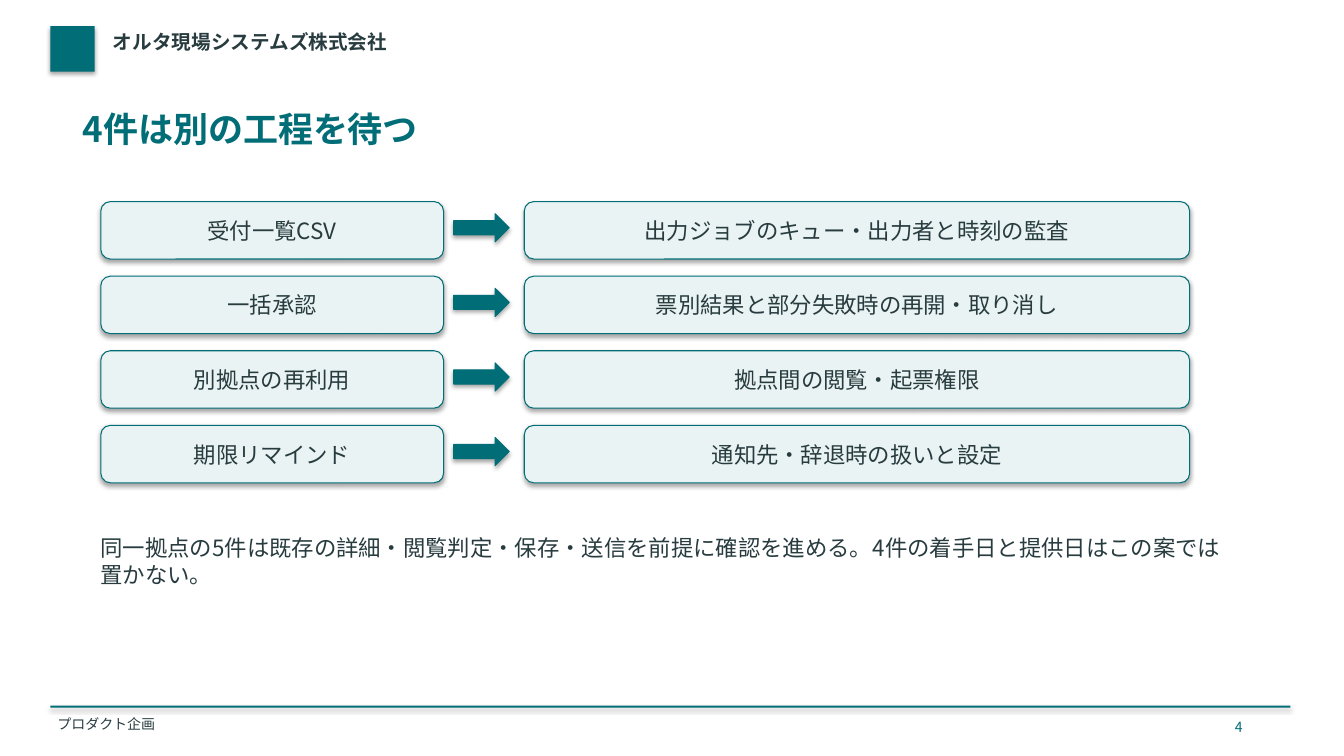
from pptx import Presentation
from pptx.dml.color import RGBColor
from pptx.enum.shapes import MSO_SHAPE
from pptx.enum.text import MSO_ANCHOR, PP_ALIGN
from pptx.oxml.ns import qn
from pptx.util import Inches, Pt

RECTANGLE = MSO_SHAPE.RECTANGLE
ROUNDED = MSO_SHAPE.ROUNDED_RECTANGLE
ARROW = MSO_SHAPE.RIGHT_ARROW
MIDDLE = MSO_ANCHOR.MIDDLE
CENTER = PP_ALIGN.CENTER

FONT = "Noto Sans CJK JP"
COLORS = {"teal": "006D77", "pale": "EAF3F3", "ink": "283C40"}

WAITING_ITEMS = [
    ("受付一覧CSV", "出力ジョブのキュー・出力者と時刻の監査"),
    ("一括承認", "票別結果と部分失敗時の再開・取り消し"),
    ("別拠点の再利用", "拠点間の閲覧・起票権限"),
    ("期限リマインド", "通知先・辞退時の扱いと設定"),
]
FIRST_ROW_TOP = 2
ROW_STEP = 0.74
BOX_HEIGHT = 0.57


def color(name):
    return RGBColor.from_string(COLORS[name])


def write(paragraph, text, size, color_name="ink", bold=False):
    run = paragraph.add_run()
    run.text = text
    font = run.font
    font.size = Pt(size)
    font.bold = bold
    font.name = FONT
    font.color.rgb = color(color_name)
    east_asian = run._r.get_or_add_rPr().makeelement(qn("a:ea"), {"typeface": FONT})
    font._element.find(qn("a:latin")).addnext(east_asian)


def add_text(slide, bounds, text, size, color_name="ink", bold=False, inset=0.02):
    box = slide.shapes.add_textbox(*map(Inches, bounds))
    frame = box.text_frame
    frame.word_wrap = True
    frame.margin_left = frame.margin_right = Inches(inset)
    frame.margin_top = frame.margin_bottom = Inches(min(inset, 0.05))
    write(frame.paragraphs[0], text, size, color_name, bold)


def add_filled(slide, kind, bounds, fill, outlined=False):
    shape = slide.shapes.add_shape(kind, *map(Inches, bounds))
    shape.fill.solid()
    shape.fill.fore_color.rgb = color(fill)
    if outlined:
        shape.line.color.rgb = color("teal")
        shape.line.width = Pt(0.75)
    else:
        shape.line.fill.background()
    return shape


def add_box(slide, left, top, width, text):
    shape = add_filled(slide, ROUNDED, (left, top, width, BOX_HEIGHT), "pale", True)
    frame = shape.text_frame
    frame.word_wrap = True
    frame.vertical_anchor = MIDDLE
    paragraph = frame.paragraphs[0]
    paragraph.alignment = CENTER
    write(paragraph, text, 16)


def add_waiting_row(slide, top, item, requirement):
    add_box(slide, 1, top, 3.4, item)
    add_box(slide, 5.2, top, 6.6, requirement)
    add_filled(slide, ARROW, (4.5, top + 0.12, 0.55, 0.28), "teal", True)


def add_header(slide):
    add_filled(slide, RECTANGLE, (0.5, 0.26, 0.44, 0.45), "teal")
    add_text(slide, (1.1, 0.28, 10, 0.4), "オルタ現場システムズ株式会社", 14, bold=True)


def add_footer(slide):
    add_filled(slide, RECTANGLE, (0.5, 7, 12.3, 0.02), "teal")
    add_text(slide, (0.55, 7.08, 9, 0.22), "プロダクト企画", 10)
    add_text(slide, (12.15, 7.08, 0.5, 0.22), "4", 10, "teal", inset=0.1)


def main():
    presentation = Presentation()
    presentation.slide_width = Inches(13.33)
    presentation.slide_height = Inches(7.5)
    slide = presentation.slides.add_slide(presentation.slide_layouts[6])

    add_header(slide)
    add_text(slide, (0.8, 1.05, 11.7, 0.75), "4件は別の工程を待つ", 25, "teal", True)
    for index, (item, requirement) in enumerate(WAITING_ITEMS):
        add_waiting_row(slide, FIRST_ROW_TOP + index * ROW_STEP, item, requirement)
    add_text(
        slide,
        (0.9, 5.25, 11.5, 1.1),
        "同一拠点の5件は既存の詳細・閲覧判定・保存・送信を前提に確認を進める。"
        "4件の着手日と提供日はこの案では置かない。",
        16,
        inset=0.1,
    )
    add_footer(slide)
    presentation.save("out.pptx")


if __name__ == "__main__":
    main()
